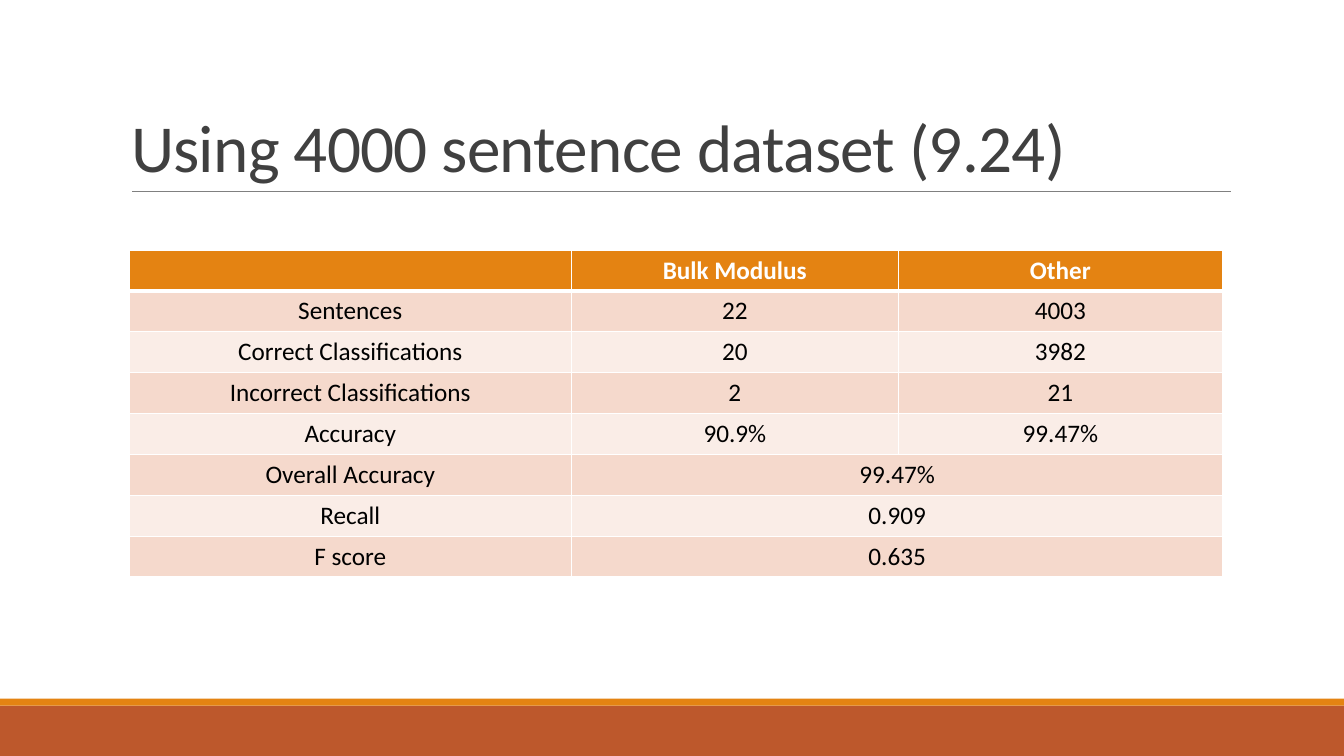
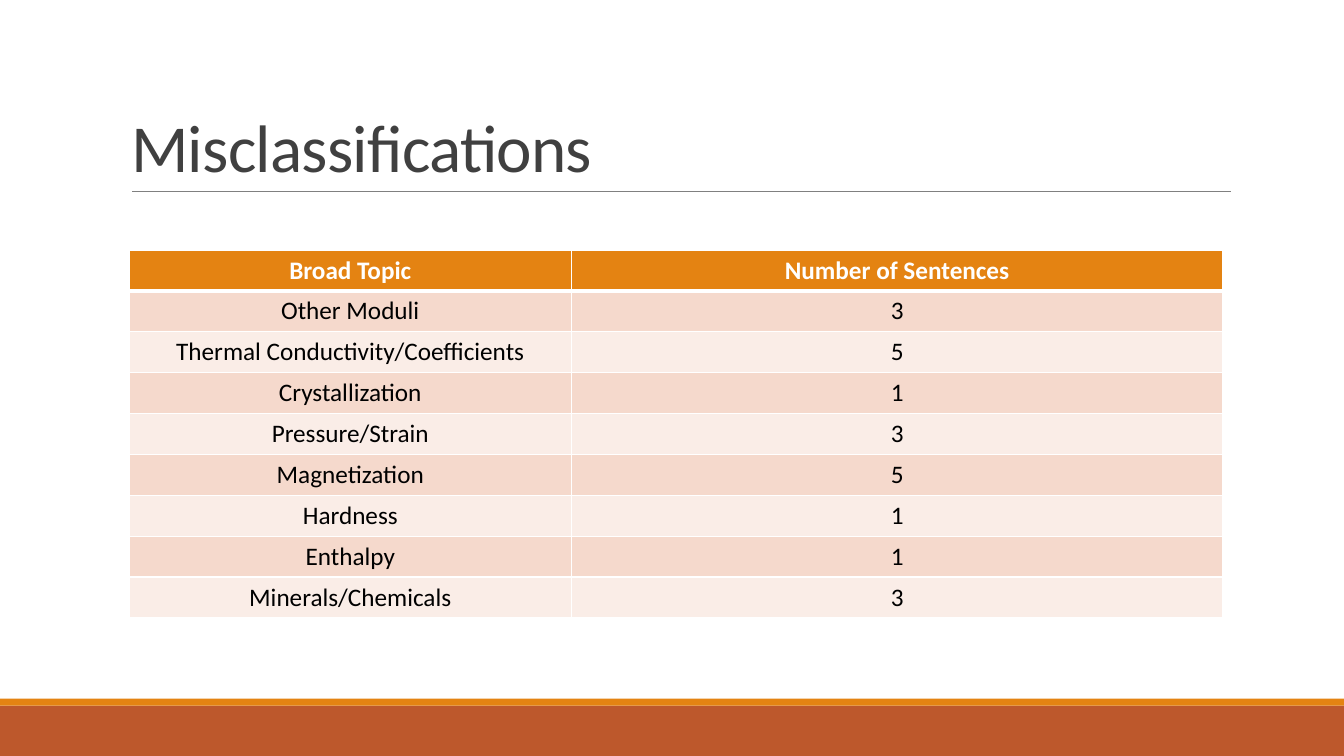
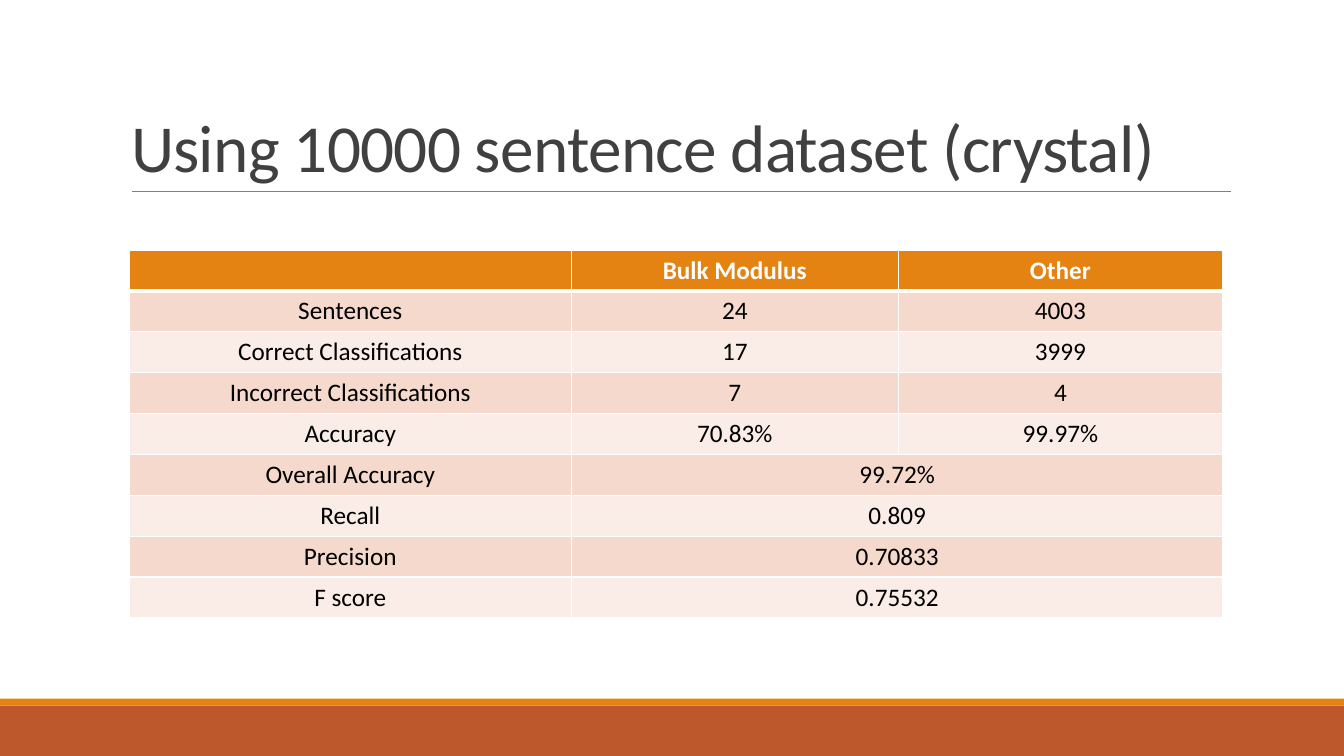
from lxml import etree
from pptx import Presentation
from pptx import util as u
from pptx.dml.color import RGBColor
from pptx.enum import shapes, text
from pptx.oxml import ns

RUST = RGBColor(0xBD, 0x58, 0x2C)
ORANGE = RGBColor(0xE4, 0x83, 0x12)
PEACH = RGBColor(0xF5, 0xD9, 0xCC)
BLUSH = RGBColor(0xFA, 0xED, 0xE7)
CHARCOAL = RGBColor(0x40, 0x40, 0x40)
GRAY = RGBColor(0x80, 0x80, 0x80)
WHITE = RGBColor(0xFF, 0xFF, 0xFF)
BLACK = RGBColor(0, 0, 0)
FONT = "Calibri"

deck = Presentation()
deck.slide_width, deck.slide_height = u.Inches(13.33), u.Inches(7.5)

# The slide is a grid of 100 columns and 100 rows.
COLUMN, ROW = deck.slide_width / 100, deck.slide_height / 100
TABLE_LEFT, TABLE_TOP, TABLE_ROW = 9.6, 33.07, 5.4
LABEL_COLUMN, VALUE_COLUMNS = 32.93, [24.3, 24.15]


def grid(left, top, width, height):
    """Turn grid columns and rows into slide lengths."""
    return [round(left * COLUMN), round(top * ROW),
            round(width * COLUMN), round(height * ROW)]


def add_text(para, words, size, color, bold=False):
    """Add one formatted run to a paragraph and return it."""
    span = para.add_run()
    span.text = words
    span.font.name, span.font.size = FONT, u.Pt(size)
    span.font.color.rgb, span.font.bold = color, bold
    return span


RESULT_HEADER = ["", "Bulk Modulus", "Other"]
CONTENT = [
    ("Using 4000 sentence dataset (9.24)", [
        RESULT_HEADER,
        ["Sentences", "22", "4003"],
        ["Correct Classifications", "20", "3982"],
        ["Incorrect Classifications", "2", "21"],
        ["Accuracy", "90.9%", "99.47%"],
        ["Overall Accuracy", "99.47%"],
        ["Recall", "0.909"],
        ["F score", "0.635"],
    ]),
    ("Misclassifications", [
        ["Broad Topic", "Number of Sentences"],
        ["Other Moduli", "3"],
        ["Thermal Conductivity/Coefficients", "5"],
        ["Crystallization", "1"],
        ["Pressure/Strain", "3"],
        ["Magnetization", "5"],
        ["Hardness", "1"],
        ["Enthalpy", "1"],
        ["Minerals/Chemicals", "3"],
    ]),
    ("Using 10000 sentence dataset (crystal)", [
        RESULT_HEADER,
        ["Sentences", "24", "4003"],
        ["Correct Classifications", "17", "3999"],
        ["Incorrect Classifications", "7", "4"],
        ["Accuracy", "70.83%", "99.97%"],
        ["Overall Accuracy", "99.72%"],
        ["Recall", "0.809"],
        ["Precision", "0.70833"],
        ["F score", "0.75532"],
    ]),
]

# Shared layout: title place, footer bands and the rule under the title.
layout = deck.slide_layouts.get_by_name("Title Only")
for holder in list(layout.placeholders):
    if holder.placeholder_format.type != shapes.PP_PLACEHOLDER.TITLE:
        holder.element.getparent().remove(holder.element)
layout_title = layout.placeholders[0]
(layout_title.left, layout_title.top,
 layout_title.width, layout_title.height) = grid(9, 4.13, 82.5, 21.2)

pages = [deck.slides.add_slide(layout) for _ in CONTENT]

# Shapes are drawn on the first page, then moved to the layout.
decorations = []
for top, height, color in [(93.33, 6.67, RUST), (92.4, 0.93, ORANGE)]:
    band = pages[0].shapes.add_shape(
        shapes.MSO_SHAPE.RECTANGLE, *grid(0, top, 100, height))
    band.shadow.inherit = False
    band.fill.solid()
    band.fill.fore_color.rgb = color
    band.line.fill.background()
    decorations.append(band)
rule = pages[0].shapes.add_connector(
    shapes.MSO_CONNECTOR.STRAIGHT, *grid(9.83, 25.33, 91.6, 25.33))
rule.line.color.rgb, rule.line.width = GRAY, u.Pt(0.5)
etree.SubElement(rule.element.spPr, ns.qn("a:effectLst"))
decorations.append(rule)
for decoration in decorations:
    layout.shapes.element.append(decoration.element)

for page, (heading, rows) in zip(pages, CONTENT):
    frame = page.shapes.title.text_frame
    frame.vertical_anchor = text.MSO_ANCHOR.BOTTOM
    frame.auto_size = text.MSO_AUTO_SIZE.NONE
    para = frame.paragraphs[0]
    para.alignment, para.line_spacing = text.PP_ALIGN.LEFT, 0.85
    span = add_text(para, heading, 48, CHARCOAL)
    span.font._element.set("spc", "-50")

    value_widths = VALUE_COLUMNS if len(rows[0]) == 3 else [sum(VALUE_COLUMNS)]
    widths = [LABEL_COLUMN] + value_widths
    table = page.shapes.add_table(
        len(rows), len(widths),
        *grid(TABLE_LEFT, TABLE_TOP, sum(widths), TABLE_ROW * len(rows))).table
    for column, width in zip(table.columns, widths):
        column.width = round(width * COLUMN)

    for r, values in enumerate(rows):
        fill = ORANGE if r == 0 else (BLUSH, PEACH)[r % 2]
        for c in range(len(widths)):
            cell = table.cell(r, c)
            properties = cell._tc.get_or_add_tcPr()
            for edge in "LRTB":
                thick = (r, edge) in [(0, "B"), (1, "T")]
                border = etree.SubElement(properties, ns.qn("a:ln" + edge),
                                          w=str(u.Pt(3 if thick else 1)))
                paint = etree.SubElement(border, ns.qn("a:solidFill"))
                etree.SubElement(paint, ns.qn("a:srgbClr"), val=str(WHITE))
            cell.fill.solid()
            cell.fill.fore_color.rgb = fill
            if c < len(values) and values[c]:
                para = cell.text_frame.paragraphs[0]
                para.alignment = text.PP_ALIGN.CENTER
                add_text(para, values[c], 18, BLACK if r else WHITE, r == 0)
        if len(values) < len(widths):
            table.cell(r, len(values) - 1).merge(table.cell(r, len(widths) - 1))

deck.save("out.pptx")
